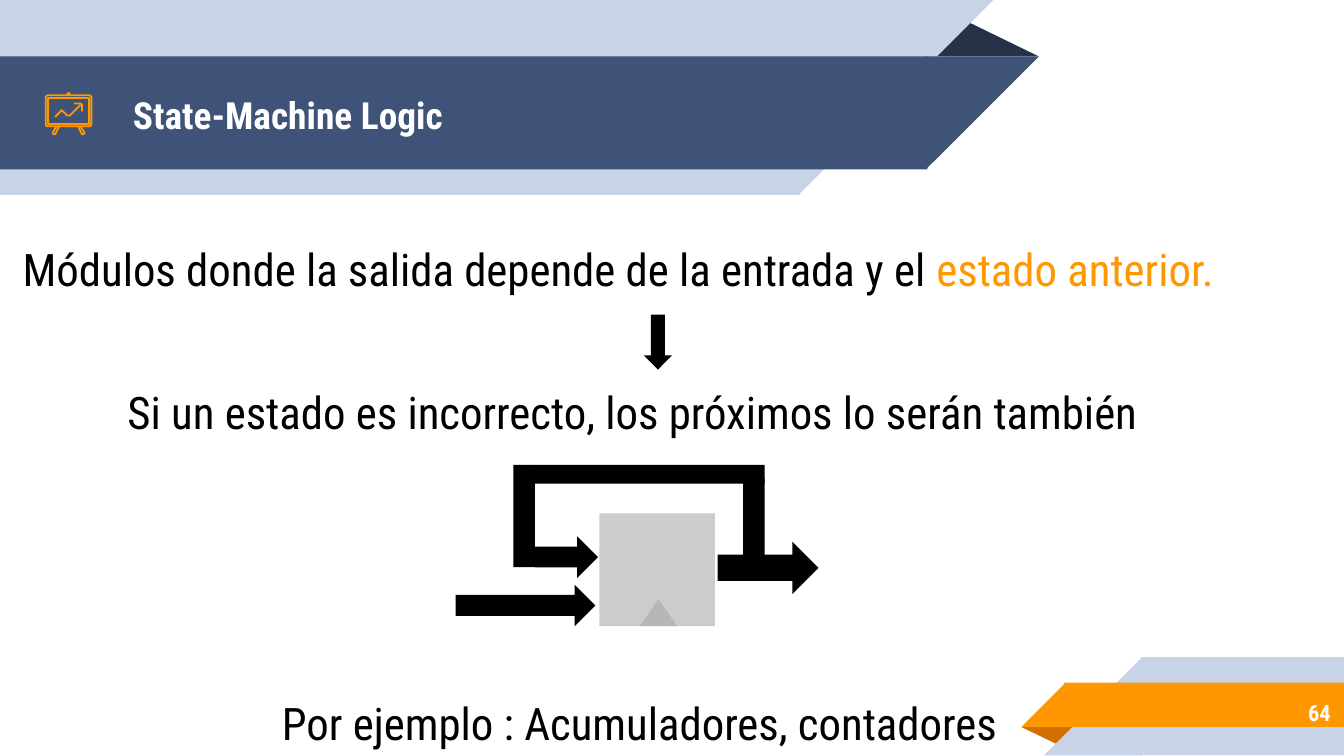
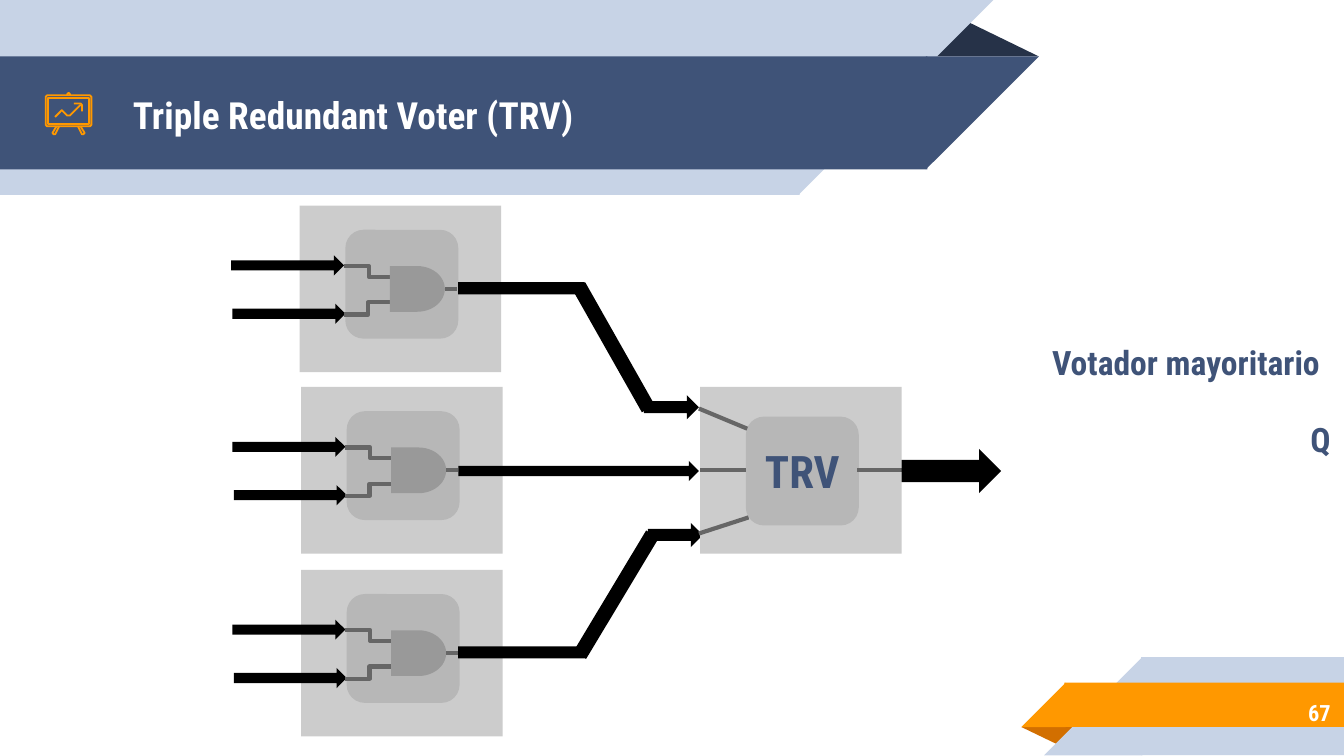
from dataclasses import dataclass

from lxml import etree
from pptx import Presentation
from pptx import util as u
from pptx.dml.color import RGBColor
from pptx.enum import shapes, text
from pptx.oxml.ns import qn
from pptx.shapes import autoshape, shapetree
from pptx.slide import Slide

FONT = "Roboto Condensed"
WHITE, BLACK = "FFFFFF", "000000"
NAVY, DARK_NAVY, PALE_BLUE = "3F5378", "263248", "C7D3E6"
ORANGE, DARK_ORANGE = "FF9800", "D26F00"
PANEL, MODULE, GATE, WIRE = "CCCCCC", "B7B7B7", "999999", "666666"

MSO = shapes.MSO_SHAPE
LINK = shapes.MSO_CONNECTOR
ALIGN = text.PP_ALIGN
ANCHOR = text.MSO_ANCHOR
Shapes = shapetree.SlideShapes | shapetree.GroupShapes


@dataclass(frozen=True)
class Block:
    kind: MSO
    x: float
    y: float
    w: float
    h: float
    color: str = BLACK
    rotation: float = 0
    flip: bool = False
    adjust: float | None = None


@dataclass(frozen=True)
class Run:
    words: str
    color: str = BLACK


@dataclass(frozen=True)
class Label:
    x: float
    y: float
    w: float
    h: float
    runs: tuple[Run, ...]
    size: int = 24
    bold: bool = False
    align: ALIGN = ALIGN.LEFT
    anchor: ANCHOR = ANCHOR.TOP


@dataclass(frozen=True)
class Wire:
    x1: float
    y1: float
    x2: float
    y2: float
    kind: LINK = LINK.STRAIGHT


@dataclass(frozen=True)
class Stroke:
    points: tuple[tuple[float, float], ...]
    closed: bool = False


HEADER = (
    Block(MSO.ISOSCELES_TRIANGLE, 6.88, 0.14, 0.85, 0.28, DARK_NAVY, adjust=0.324),
    Block(MSO.RECTANGLE, 0, 0, 5.95, 1.45, PALE_BLUE),
    Block(MSO.RIGHT_TRIANGLE, 5.94, 0, 1.45, 1.45, PALE_BLUE, 180, True),
    Block(MSO.RECTANGLE, 0, 0.42, 6.9, 0.84, NAVY),
    Block(MSO.RIGHT_TRIANGLE, 6.89, 0.42, 0.84, 0.84, NAVY, 180, True),
)
FOOTER = (
    Block(MSO.ISOSCELES_TRIANGLE, 7.6, 5.41, 0.43, 0.14, DARK_ORANGE, 180, adjust=0.324),
    Block(MSO.RECTANGLE, 8.49, 4.89, 1.51, 0.73, PALE_BLUE),
    Block(MSO.RIGHT_TRIANGLE, 7.77, 4.89, 0.73, 0.73, PALE_BLUE, flip=True),
    Block(MSO.RECTANGLE, 7.92, 5.08, 2.08, 0.33, ORANGE),
    Block(MSO.RIGHT_TRIANGLE, 7.6, 5.08, 0.33, 0.33, ORANGE, flip=True),
)
BOARD_ICON = (
    Stroke(((0.35, 0.71), (0.67, 0.71), (0.68, 0.72), (0.68, 0.93),
            (0.67, 0.94), (0.35, 0.94), (0.34, 0.93), (0.34, 0.72)), True),
    Stroke(((0.5, 0.71), (0.5, 0.7), (0.51, 0.69), (0.52, 0.7), (0.52, 0.71))),
    Stroke(((0.42, 0.94), (0.39, 0.99), (0.4, 1), (0.41, 1), (0.44, 0.94))),
    Stroke(((0.58, 0.94), (0.61, 1), (0.62, 1), (0.63, 0.99), (0.6, 0.94))),
    Stroke(((0.36, 0.73), (0.36, 0.92), (0.66, 0.92), (0.66, 0.73)), True),
    Stroke(((0.6, 0.78), (0.52, 0.86), (0.5, 0.86), (0.46, 0.82), (0.41, 0.87))),
    Stroke(((0.55, 0.77), (0.6, 0.77), (0.61, 0.78), (0.61, 0.83))),
)

STATEMENTS = (
    Label(0.07, 1.7, 9.66, 0.45, (
        Run("Módulos donde la salida depende de la entrada y el "),
        Run("estado anterior.", ORANGE),
    )),
    Label(0.85, 2.76, 8.09, 0.45,
          (Run("Si un estado es incorrecto, los próximos lo serán también"),)),
    Label(2, 5.08, 5.67, 0.45, (Run("Por ejemplo : Acumuladores, contadores"),)),
)
STATE_MACHINE = (
    Block(MSO.RIGHT_ARROW, 4.69, 2.44, 0.41, 0.21, rotation=90),
    Block(MSO.RECTANGLE, 4.46, 3.82, 0.86, 0.84, PANEL),
    Block(MSO.RIGHT_ARROW, 3.39, 4.35, 1.04, 0.31),
    Block(MSO.RIGHT_ARROW, 5.34, 4.03, 0.75, 0.39),
    Block(MSO.RECTANGLE, 5.53, 3.56, 0.16, 0.59),
    Block(MSO.RECTANGLE, 3.98, 3.46, 1.71, 0.14),
    Block(MSO.RIGHT_ARROW, 3.98, 3.99, 0.47, 0.31),
    Block(MSO.RECTANGLE, 3.82, 3.46, 0.16, 0.76),
    Block(MSO.ISOSCELES_TRIANGLE, 4.76, 4.46, 0.28, 0.2, MODULE),
)

REPLICAS = ((2.23, 1.53), (2.24, 2.88), (2.24, 4.24))
VOTER_INPUTS = (
    Block(MSO.RIGHT_ARROW, 3.41, 3.43, 1.79, 0.15),
    Block(MSO.RECTANGLE, 3.41, 2.1, 0.94, 0.09),
    Block(MSO.RIGHT_ARROW, 4.79, 2.94, 0.41, 0.18),
    Block(MSO.RECTANGLE, 3.41, 4.81, 0.94, 0.09),
    Block(MSO.RIGHT_ARROW, 4.82, 3.89, 0.41, 0.18),
    Block(MSO.RECTANGLE, 4.06, 4.37, 1.05, 0.11, rotation=301),
    Block(MSO.RECTANGLE, 4.04, 2.53, 1.05, 0.11, rotation=60.5),
    Block(MSO.RECTANGLE, 5.21, 2.88, 1.5, 1.24, PANEL),
)
VOTER = Block(MSO.ROUNDED_RECTANGLE, 5.55, 3.1, 0.84, 0.81, MODULE)
VOTER_LABEL = Label(VOTER.x, VOTER.y, VOTER.w, VOTER.h, (Run("TRV", NAVY),),
                    24, True, ALIGN.CENTER, ANCHOR.MIDDLE)
VOTER_WIRES = (
    Wire(5.21, 3.5, 5.55, 3.5),
    Wire(5.2, 3.04, 5.56, 3.19),
    Wire(5.2, 3.97, 5.57, 3.85),
    Wire(6.38, 3.5, 6.71, 3.5),
)
VOTER_OUTPUT = Block(MSO.RIGHT_ARROW, 6.71, 3.34, 0.74, 0.33)
CAPTIONS = (
    Label(7.65, 2.52, 2.35, 0.35, (Run("Votador mayoritario", NAVY),),
          18, True, ALIGN.CENTER, ANCHOR.MIDDLE),
    Label(9.65, 3.04, 0.35, 0.45, (Run("Q", NAVY),),
          18, True, ALIGN.CENTER, ANCHOR.MIDDLE),
)


def rgb(value: str) -> RGBColor:
    return RGBColor.from_string(value)


def add_block(parent: Shapes, block: Block) -> autoshape.Shape:
    sp = parent.add_shape(block.kind, u.Inches(block.x), u.Inches(block.y),
                          u.Inches(block.w), u.Inches(block.h))
    sp.shadow.inherit = False
    sp.fill.solid()
    sp.fill.fore_color.rgb = rgb(block.color)
    sp.line.fill.background()
    sp.rotation = block.rotation
    if block.flip:
        sp._element.spPr.find(qn("a:xfrm")).set("flipH", "1")
    if block.adjust is not None:
        sp.adjustments[0] = block.adjust
    return sp


def add_blocks(parent: Shapes, blocks: tuple[Block, ...]) -> None:
    for block in blocks:
        add_block(parent, block)


def write(sp: autoshape.Shape, label: Label) -> None:
    tf = sp.text_frame
    tf.word_wrap = True
    tf.vertical_anchor = label.anchor
    tf.margin_left = tf.margin_right = u.Inches(0.1)
    tf.margin_top = tf.margin_bottom = u.Inches(0.1)
    p = tf.paragraphs[0]
    p.alignment = label.align
    for run in label.runs:
        r = p.add_run()
        r.text = run.words
        r.font.name = FONT
        r.font.size = u.Pt(label.size)
        r.font.bold = label.bold
        r.font.color.rgb = rgb(run.color)


def add_label(parent: Shapes, label: Label) -> None:
    write(parent.add_textbox(u.Inches(label.x), u.Inches(label.y),
                             u.Inches(label.w), u.Inches(label.h)), label)


def add_wire(parent: Shapes, wire: Wire) -> None:
    cxn = parent.add_connector(wire.kind, u.Inches(wire.x1), u.Inches(wire.y1),
                               u.Inches(wire.x2), u.Inches(wire.y2))
    cxn.line.color.rgb = rgb(WIRE)
    cxn.line.width = u.Pt(2.25)
    etree.SubElement(cxn._element.spPr, qn("a:effectLst"))


def add_stroke(parent: Shapes, stroke: Stroke) -> None:
    start, *rest = [(u.Inches(x), u.Inches(y)) for x, y in stroke.points]
    builder = parent.build_freeform(*start)
    builder.add_line_segments(rest, close=stroke.closed)
    sp = builder.convert_to_shape()
    sp.shadow.inherit = False
    sp.fill.background()
    sp.line.color.rgb = rgb(ORANGE)
    sp.line.width = u.Pt(0.96)


def add_base_slide(prs: Presentation, title: str, number: int) -> Slide:
    slide = prs.slides.add_slide(prs.slide_layouts[6])
    slide.background.fill.solid()
    slide.background.fill.fore_color.rgb = rgb(WHITE)
    for blocks in (HEADER, FOOTER):
        add_blocks(slide.shapes.add_group_shape().shapes, blocks)
    add_label(slide.shapes, Label(0.89, 0.43, 5.75, 0.84, (Run(title, WHITE),),
                                  20, True, anchor=ANCHOR.MIDDLE))
    add_label(slide.shapes, Label(8.37, 5.13, 1.63, 0.35, (Run(str(number), WHITE),),
                                  12, True, ALIGN.RIGHT, ANCHOR.MIDDLE))
    icon = slide.shapes.add_group_shape().shapes
    for stroke in BOARD_ICON:
        add_stroke(icon, stroke)
    return slide


def add_replica(parent: Shapes, x: float, y: float) -> None:
    add_blocks(parent, (
        Block(MSO.RECTANGLE, x, y, 1.5, 1.24, PANEL),
        Block(MSO.RIGHT_ARROW, x - 0.5, y + 0.73, 0.84, 0.15),
        Block(MSO.RIGHT_ARROW, x - 0.51, y + 0.37, 0.84, 0.15),
        Block(MSO.ROUNDED_RECTANGLE, x + 0.34, y + 0.18, 0.84, 0.81, MODULE),
    ))
    add_wire(parent, Wire(x + 0.7, y + 0.53, x + 0.33, y + 0.45, LINK.ELBOW))
    add_wire(parent, Wire(x + 0.69, y + 0.72, x + 0.33, y + 0.81, LINK.ELBOW))
    add_block(parent, Block(MSO.FLOWCHART_DELAY, x + 0.67, y + 0.45, 0.41, 0.34, GATE))
    add_wire(parent, Wire(x + 1.08, y + 0.62, x + 1.17, y + 0.62))


def build_state_machine(prs: Presentation) -> None:
    slide = add_base_slide(prs, "State-Machine Logic", 64)
    for label in STATEMENTS:
        add_label(slide.shapes, label)
    add_blocks(slide.shapes, STATE_MACHINE)


def build_voter(prs: Presentation) -> None:
    slide = add_base_slide(prs, "Triple Redundant Voter (TRV)", 67)
    for label in CAPTIONS:
        add_label(slide.shapes, label)
    for x, y in REPLICAS:
        add_replica(slide.shapes, x, y)
    add_blocks(slide.shapes, VOTER_INPUTS)
    write(add_block(slide.shapes, VOTER), VOTER_LABEL)
    for wire in VOTER_WIRES:
        add_wire(slide.shapes, wire)
    add_block(slide.shapes, VOTER_OUTPUT)


def main() -> None:
    prs = Presentation()
    prs.slide_width = u.Inches(10)
    prs.slide_height = u.Inches(10 * 9 / 16)
    build_state_machine(prs)
    build_voter(prs)
    prs.save("out.pptx")


if __name__ == "__main__":
    main()
